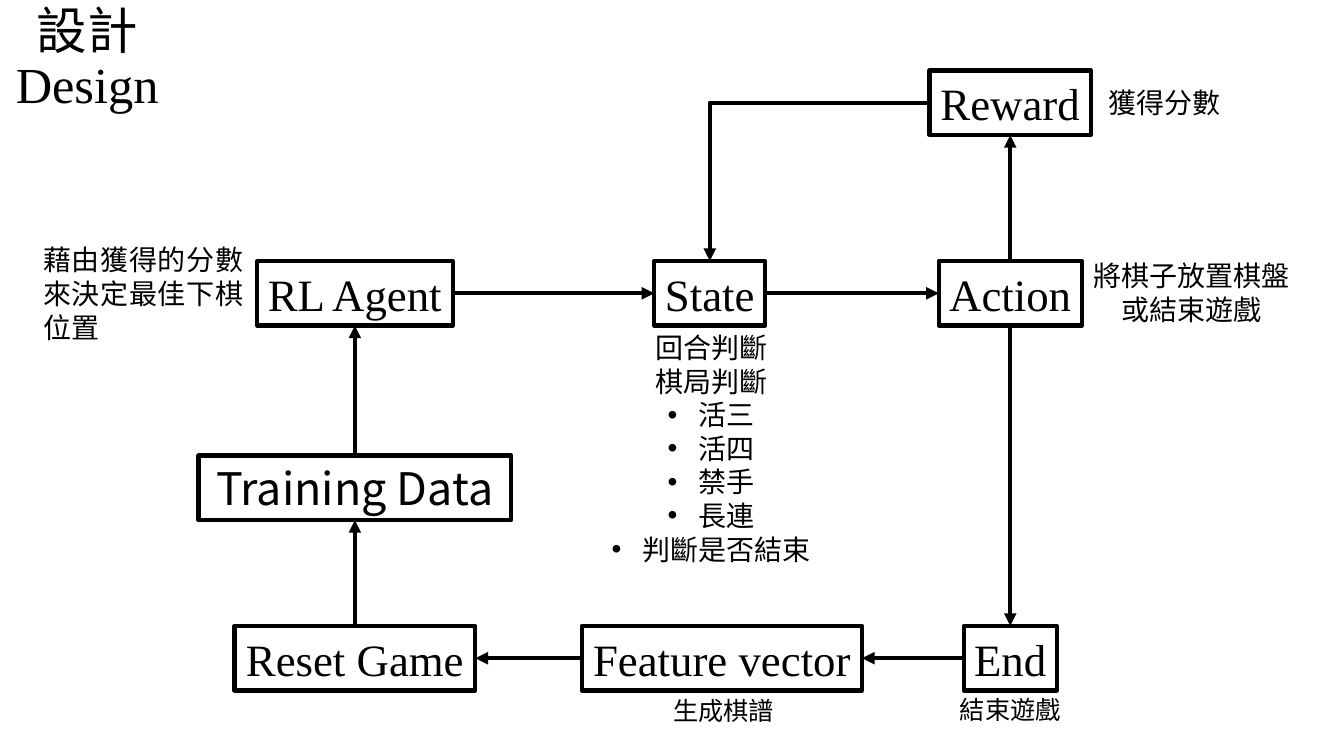
from dataclasses import dataclass

from lxml import etree
from pptx import Presentation
from pptx import util as u
from pptx.dml.color import RGBColor
from pptx.enum import shapes, text
from pptx.oxml import ns


@dataclass(frozen=True)
class Theme:
    """Colours, fonts and sizes of the slide."""
    ink: RGBColor = RGBColor(0, 0, 0)
    serif: str = "Times New Roman"
    sans: str = "Noto Sans CJK SC"
    title: int = 36
    label: int = 32
    note: int = 20
    small: int = 18
    stroke: int = 3


THEME = Theme()
ALIGN = text.PP_ALIGN
TOP, LEFT, BASE, RIGHT = range(4)
TALL = 0.64


def add_run(para, words, size, face):
    """Add one styled run to a paragraph."""
    run = para.add_run()
    run.text = words
    run.font.size = u.Pt(size)
    run.font.name = face
    run.font.color.rgb = THEME.ink
    east = etree.SubElement(run.font._element, ns.qn("a:ea"))
    east.set("typeface", THEME.sans)


def add_bullet(para):
    """Give a paragraph a hanging round bullet."""
    props = para._p.get_or_add_pPr()
    props.set("marL", str(u.Inches(0.31)))
    props.set("indent", str(u.Inches(-0.31)))
    font = etree.SubElement(props, ns.qn("a:buFont"))
    font.set("typeface", "Arial")
    etree.SubElement(props, ns.qn("a:buChar")).set("char", "•")


def add_title(slide, *lines):
    """Add the title with line breaks between its lines."""
    area = slide.shapes.add_textbox(0, 0, u.Inches(1.73), u.Inches(1.19))
    frame = area.text_frame
    frame.word_wrap = True
    frame.vertical_anchor = text.MSO_ANCHOR.MIDDLE
    para = frame.paragraphs[0]
    para.alignment = ALIGN.CENTER
    para.line_spacing = 0.9
    for i, line in enumerate(lines):
        if i:
            para.add_line_break()
        add_run(para, line, THEME.title, THEME.serif)


def add_note(slide, place, lines, size=THEME.note, align=ALIGN.CENTER, points=()):
    """Add a caption made of plain lines and bullet points."""
    area = slide.shapes.add_textbox(*map(u.Inches, place))
    frame = area.text_frame
    frame.word_wrap = True
    for i, line in enumerate([*lines, *points]):
        para = frame.add_paragraph() if i else frame.paragraphs[0]
        para.alignment = align
        add_run(para, line, size, THEME.sans)
        if i >= len(lines):
            add_bullet(para)


def add_box(slide, label, mid, top, width, face=THEME.serif):
    """Add an outlined box centred on a column."""
    place = map(u.Inches, (mid - width / 2, top, width, TALL))
    box = slide.shapes.add_shape(shapes.MSO_SHAPE.RECTANGLE, *place)
    box.shadow.inherit = False
    box.fill.background()
    box.line.color.rgb = THEME.ink
    box.line.width = u.Pt(THEME.stroke)
    box.text_frame.word_wrap = False
    para = box.text_frame.paragraphs[0]
    para.alignment = ALIGN.CENTER
    add_run(para, label, THEME.label, face)
    return box


def add_arrow(slide, start, side, end, goal, bent=False):
    """Join two boxes with an arrow, straight or with one corner."""
    kind = shapes.MSO_CONNECTOR.ELBOW if bent else shapes.MSO_CONNECTOR.STRAIGHT
    link = slide.shapes.add_connector(kind, 0, 0, 0, 0)
    link.begin_connect(start, side)
    link.end_connect(end, goal)
    link.line.color.rgb = THEME.ink
    link.line.width = u.Pt(THEME.stroke)
    props = link._element.spPr
    if bent:
        props.find(ns.qn("a:prstGeom")).set("prst", "bentConnector2")
    tip = etree.SubElement(props.find(ns.qn("a:ln")), ns.qn("a:tailEnd"))
    tip.set("type", "triangle")
    etree.SubElement(props, ns.qn("a:effectLst"))


def main():
    """Build the design flow slide."""
    deck = Presentation()
    deck.slide_width, deck.slide_height = u.Inches(13.33), u.Inches(7.5)
    slide = deck.slides.add_slide(deck.slide_layouts[6])
    add_title(slide, "設計", "Design")

    west, mid, east = 3.52, 7.04, 10.02
    upper, lower = 2.59, 6.21
    agent = add_box(slide, "RL Agent", west, upper, 1.94)
    state = add_box(slide, "State", mid, upper, 1.1)
    action = add_box(slide, "Action", east, upper, 1.42)
    reward = add_box(slide, "Reward", east, 0.7, 1.6)
    train = add_box(slide, "Training Data", west, 4.52, 3.1, THEME.sans)
    reset = add_box(slide, "Reset Game", west, lower, 2.39)
    vector = add_box(slide, "Feature vector", 7.16, lower, 2.78)
    end = add_box(slide, "End", east, lower, 0.92)

    for link in (
        (agent, RIGHT, state, LEFT),
        (state, RIGHT, action, LEFT),
        (action, TOP, reward, BASE),
        (reward, LEFT, state, TOP, True),
        (action, BASE, end, TOP),
        (end, LEFT, vector, RIGHT),
        (vector, LEFT, reset, RIGHT),
        (reset, TOP, train, BASE),
        (train, TOP, agent, BASE),
    ):
        add_arrow(slide, *link)

    add_note(slide, (0.33, 2.36, 2.18, 1.11),
             ["藉由獲得的分數來決定最佳下棋位置"], align=ALIGN.JUSTIFY)
    add_note(slide, (5.92, 3.23, 2.27, 2.46), ["回合判斷", "棋局判斷"],
             points=["活三", "活四", "禁手", "長連", "判斷是否結束"])
    add_note(slide, (10.68, 2.52, 2.27, 0.77), ["將棋子放置棋盤", "或結束遊戲"])
    add_note(slide, (10.89, 0.8, 1.32, 0.44), ["獲得分數"])
    add_note(slide, (9.41, 6.84, 1.22, 0.4), ["結束遊戲"], THEME.small)
    add_note(slide, (5.77, 6.85, 2.81, 0.4), ["生成棋譜"], THEME.small)
    deck.save("out.pptx")


if __name__ == "__main__":
    main()
